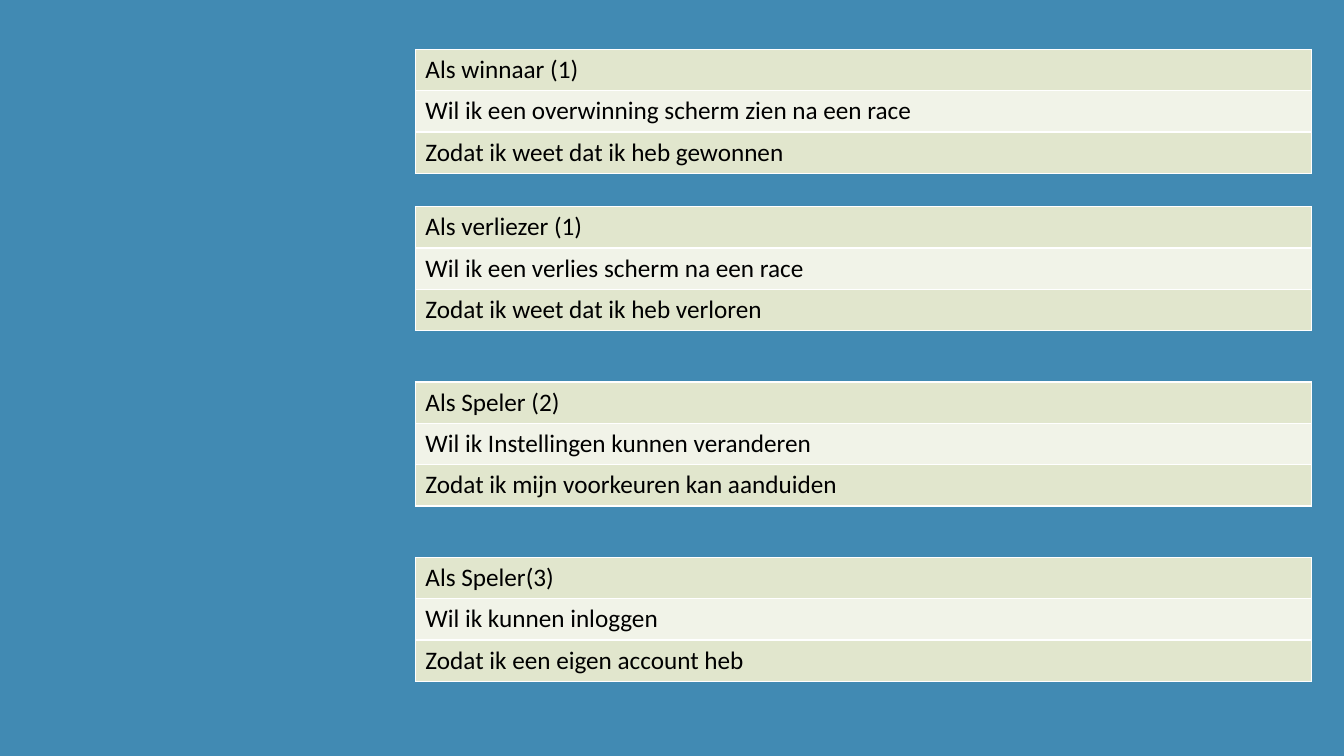
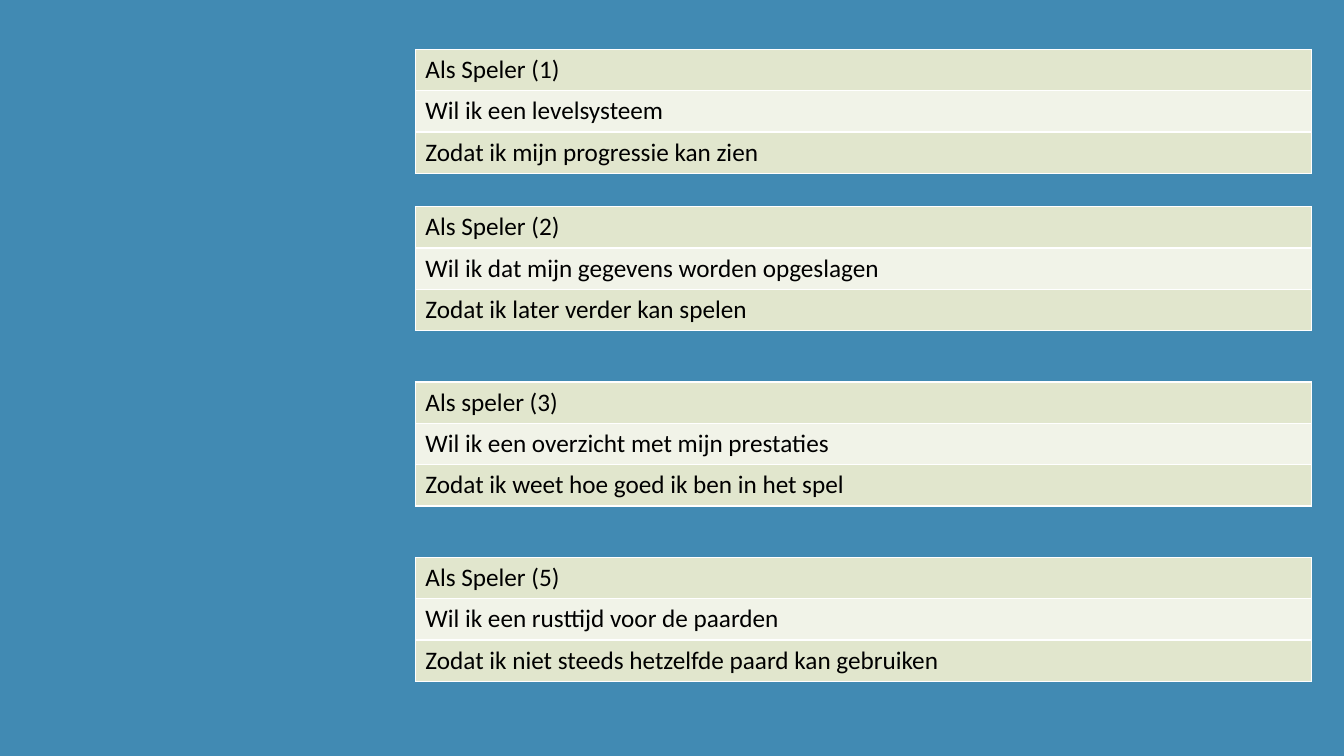
from pptx import Presentation as Deck
from pptx.dml.color import RGBColor as Rgb
from pptx.oxml import parse_xml as to_xml
from pptx.oxml.ns import nsdecls as names
from pptx.util import Inches as In, Pt

HUES = {"back": "418AB3", "dark": "E1E6CD", "light": "F1F3E8",
        "line": "FFFFFF", "text": "000000"}

# Grid: one wide column; the lower three cards share an even pitch
LEFT, WIDE, ROW = 4.12, 8.89, 0.41
PITCH = 1.74
TOPS = [0.49] + [2.05 + PITCH * i for i in range(3)]

STORIES = [
    [("Als winnaar (1)", "Wil ik een overwinning scherm zien na een race",
      "Zodat ik weet dat ik heb gewonnen"),
     ("Als verliezer (1)", "Wil ik een verlies scherm na een race",
      "Zodat ik weet dat ik heb verloren"),
     ("Als Speler (2)", "Wil ik Instellingen kunnen veranderen",
      "Zodat ik mijn voorkeuren kan aanduiden"),
     ("Als Speler(3)", "Wil ik kunnen inloggen",
      "Zodat ik een eigen account heb")],
    [("Als Speler (1)", "Wil ik een levelsysteem",
      "Zodat ik mijn progressie kan zien"),
     ("Als Speler (2)", "Wil ik dat mijn gegevens worden opgeslagen",
      "Zodat ik later verder kan spelen"),
     ("Als speler (3)", "Wil ik een overzicht met mijn prestaties",
      "Zodat ik weet hoe goed ik ben in het spel"),
     ("Als Speler (5)", "Wil ik een rusttijd voor de paarden",
      "Zodat ik niet steeds hetzelfde paard kan gebruiken")],
]


def write(frame, text, size=18, font="Calibri", hue="text"):
    run = frame.paragraphs[0].add_run()
    run.text = text
    run.font.size, run.font.name = Pt(size), font
    run.font.color.rgb = Rgb.from_string(HUES[hue])


class Board:
    def __init__(self):
        self.deck = Deck()
        self.deck.slide_width, self.deck.slide_height = In(13.33), In(7.5)
        self.paint(self.deck.slide_master.background.fill, "back")
        self.slide = None

    def paint(self, fill, hue):
        fill.solid()
        fill.fore_color.rgb = Rgb.from_string(HUES[hue])

    def page(self):
        self.slide = self.deck.slides.add_slide(self.deck.slide_layouts[6])

    def edge(self, cell, width=1):
        props = cell._tc.get_or_add_tcPr()
        for side in "LRTB":
            props.append(to_xml(
                f'<a:ln{side} {names("a")} w="{Pt(width)}"><a:solidFill>'
                f'<a:srgbClr val="{HUES["line"]}"/></a:solidFill></a:ln{side}>'))

    def card(self, top, lines):
        table = self.slide.shapes.add_table(
            len(lines), 1, In(LEFT), In(top), In(WIDE),
            In(ROW * len(lines))).table
        table.first_row = table.horz_banding = False
        for i, line in enumerate(lines):
            table.rows[i].height = In(ROW)
            cell = table.cell(i, 0)
            self.edge(cell)
            self.paint(cell.fill, "light" if i % 2 else "dark")
            write(cell.text_frame, line)


# Slides: four user stories each
board = Board()
for cards in STORIES:
    board.page()
    for top, lines in zip(TOPS, cards):
        board.card(top, lines)
board.deck.save("out.pptx")
